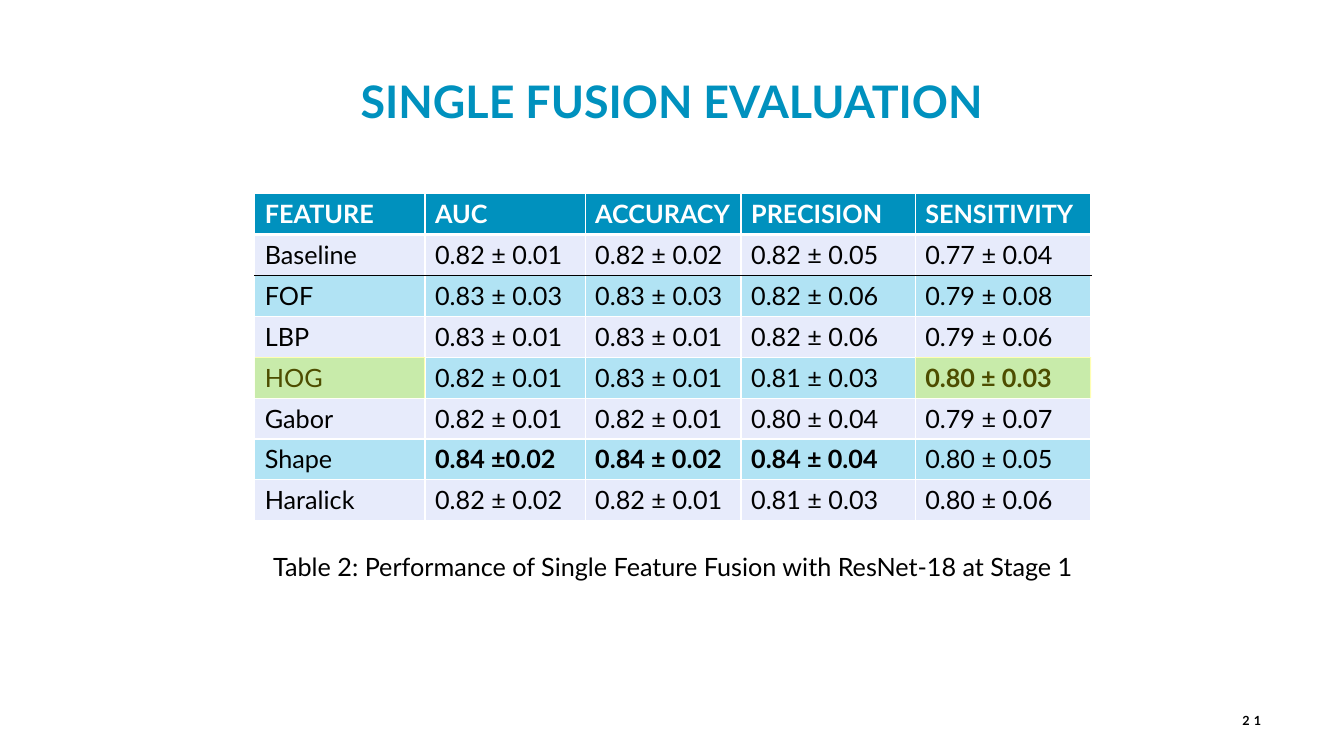
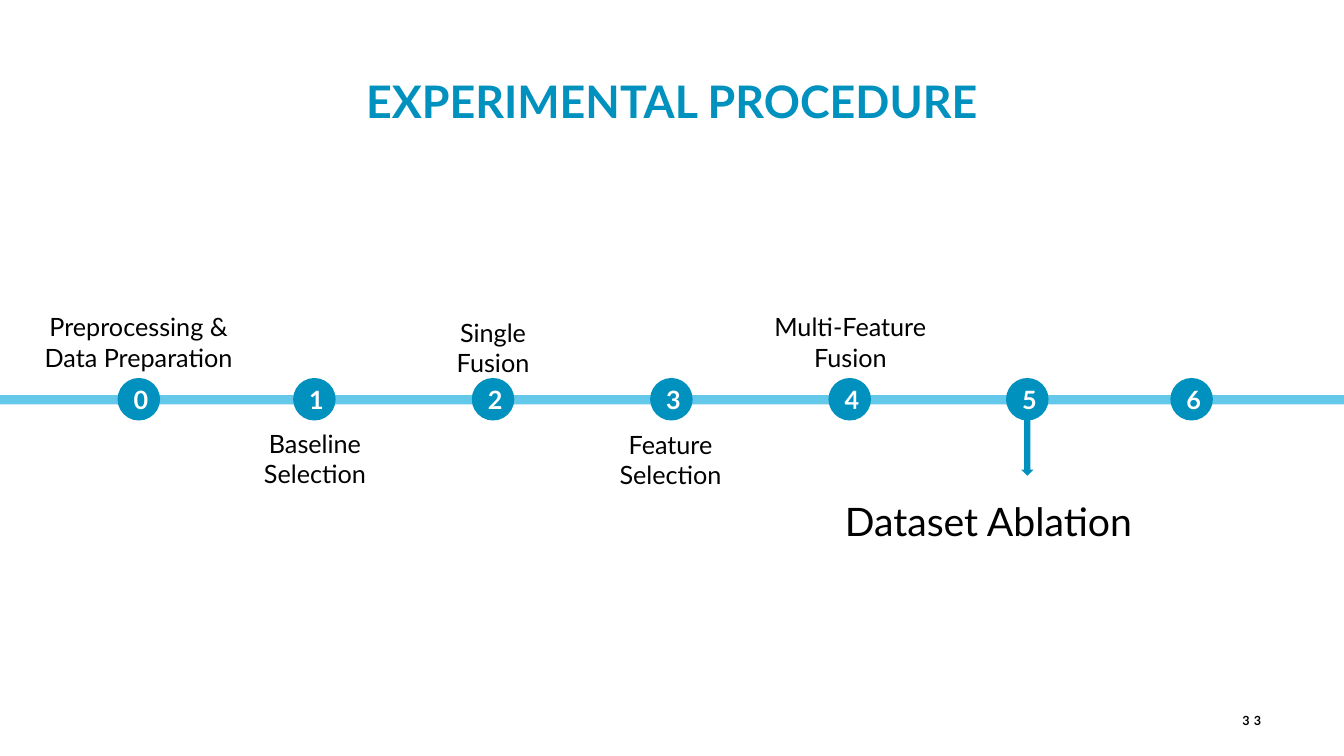
from lxml import etree
from pptx import Presentation
from pptx.dml import color as dml
from pptx.enum import shapes as sh, text as tx
from pptx.oxml import ns
from pptx.util import Pt

FONT = "Lato"
BLUE, SKY, PALE = "0091BE", "64C8EB", "E7EBFB"
BLACK, WHITE, YELLOW = "000000", "FFFFFF", "FFFF00"
LEFT, CENTER, RIGHT = tx.PP_ALIGN.LEFT, tx.PP_ALIGN.CENTER, tx.PP_ALIGN.RIGHT
TOP, MIDDLE = tx.MSO_ANCHOR.TOP, tx.MSO_ANCHOR.MIDDLE


def paint(owner, hex_color, opacity=100):
    """Give a shape, cell or font a solid colour."""
    owner.fill.solid()
    owner.fill.fore_color.rgb = dml.RGBColor.from_string(hex_color)
    if opacity < 100:
        tone = owner.fill._xPr.find(ns.qn("a:solidFill"))[0]
        etree.SubElement(tone, ns.qn("a:alpha"), val=str(opacity * 1000))


def write(frame, words, size=18, hex_color=BLACK, bold=False, align=CENTER):
    """Fill a text frame and format all its runs."""
    frame.text = words
    frame.word_wrap = True
    for paragraph in frame.paragraphs:
        paragraph.alignment = align
        for run in paragraph.runs:
            run.font.name, run.font.size, run.font.bold = FONT, Pt(size), bold
            paint(run.font, hex_color)


prs = Presentation()
prs.slide_width, prs.slide_height = Pt(960), Pt(540)

# Shared title and page number
slides = []
for heading, page in (("SINGLE FUSION EVALUATION", "21"),
                      ("EXPERIMENTAL PROCEDURE", "33")):
    slide = prs.slides.add_slide(prs.slide_layouts[5])
    slides.append(slide)
    title = slide.shapes.title
    title.left, title.top, title.width, title.height = Pt(0), Pt(49), Pt(960), Pt(46)
    write(title.text_frame, heading, 32, BLUE, True)
    title.text_frame.auto_size = tx.MSO_AUTO_SIZE.NONE
    title.text_frame.vertical_anchor = TOP

    number = slide.shapes.add_textbox(Pt(851), Pt(500.4), Pt(57), Pt(28.8)).text_frame
    write(number, page, 9, BLACK, True, RIGHT)
    number.vertical_anchor = MIDDLE
    number.paragraphs[0].runs[0].font._element.set("spc", "300")

evaluation, procedure = slides

# Results table
RESULTS = [
    ("FEATURE", "AUC", "ACCURACY", "PRECISION", "SENSITIVITY"),
    ("Baseline", "0.82 ± 0.01", "0.82 ± 0.02", "0.82 ± 0.05", "0.77 ± 0.04"),
    ("FOF", "0.83 ± 0.03", "0.83 ± 0.03", "0.82 ± 0.06", "0.79 ± 0.08"),
    ("LBP", "0.83 ± 0.01", "0.83 ± 0.01", "0.82 ± 0.06", "0.79 ± 0.06"),
    ("HOG", "0.82 ± 0.01", "0.83 ± 0.01", "0.81 ± 0.03", "0.80 ± 0.03"),
    ("Gabor", "0.82 ± 0.01", "0.82 ± 0.01", "0.80 ± 0.04", "0.79 ± 0.07"),
    ("Shape", "0.84 ±0.02", "0.84 ± 0.02", "0.84 ± 0.04", "0.80 ± 0.05"),
    ("Haralick", "0.82 ± 0.02", "0.82 ± 0.01", "0.81 ± 0.03", "0.80 ± 0.06"),
]
BEST = {(4, 4), (6, 1), (6, 2), (6, 3)}
COLUMNS = [121.6, 114.4, 111.4, 124.4, 125.6]
TABLE_LEFT, TABLE_TOP, ROW = 182, 138.4, 29.2
TABLE_WIDTH = sum(COLUMNS)

results = evaluation.shapes.add_table(
    len(RESULTS), len(COLUMNS), Pt(TABLE_LEFT), Pt(TABLE_TOP),
    Pt(TABLE_WIDTH), Pt(ROW * len(RESULTS))).table
results.horz_banding = False
for column, width in zip(results.columns, COLUMNS):
    column.width = Pt(width)

for r, record in enumerate(RESULTS):
    results.rows[r].height = Pt(ROW)
    for c, value in enumerate(record):
        cell = results.cell(r, c)
        header = r == 0
        write(cell.text_frame, value, 18, WHITE if header else BLACK,
              header or (r, c) in BEST, LEFT)
        if header:
            paint(cell, BLUE)
        elif r % 2:
            paint(cell, PALE)
        else:
            paint(cell, SKY, 50)
        # Black rule under the baseline, thick white one under the header
        borders = {
            "lnL": (WHITE, 1), "lnR": (WHITE, 1),
            "lnT": (BLACK if r == 2 else WHITE, 3 if r == 1 else 1),
            "lnB": (BLACK if r == 1 else WHITE, 3 if header else 1),
        }
        properties = cell._tc.get_or_add_tcPr()
        for place, (side, (tone, weight)) in enumerate(borders.items()):
            edge = etree.Element(ns.qn("a:" + side), w=str(Pt(weight)))
            solid = etree.SubElement(edge, ns.qn("a:solidFill"))
            etree.SubElement(solid, ns.qn("a:srgbClr"), val=tone)
            properties.insert(place, edge)

# Highlights over the HOG row
for c in (0, 4):
    highlight = evaluation.shapes.add_shape(
        sh.MSO_SHAPE.RECTANGLE, Pt(TABLE_LEFT + sum(COLUMNS[:c])),
        Pt(TABLE_TOP + 4 * ROW), Pt(COLUMNS[c]), Pt(ROW))
    highlight.shadow.inherit = False
    highlight.line.fill.background()
    paint(highlight, YELLOW, 30)

caption = evaluation.shapes.add_textbox(
    Pt(TABLE_LEFT), Pt(390.4), Pt(TABLE_WIDTH), Pt(29))
write(caption.text_frame,
      "Table 2: Performance of Single Feature Fusion with ResNet-18 at Stage 1")

# Timeline: bar, numbered steps and arrow
STEP = 30.4
STEP_LEFTS = [84, 209.4, 337, 464.4, 591.8, 718.6, 836]
parts = [(sh.MSO_SHAPE.RECTANGLE, 0, 282.2, 960, 6.6, SKY, "")]
parts += [(sh.MSO_SHAPE.OVAL, left, 270, STEP, STEP, BLUE, str(i))
          for i, left in enumerate(STEP_LEFTS)]
parts.append((sh.MSO_SHAPE.DOWN_ARROW, 729.4, 298, 8.8, 41.8, BLUE, ""))
for kind, left, top, width, height, tone, digit in parts:
    part = procedure.shapes.add_shape(kind, Pt(left), Pt(top), Pt(width), Pt(height))
    part.shadow.inherit = False
    part.line.fill.background()
    paint(part, tone)
    if digit:
        frame = part.text_frame
        write(frame, digit, 18, WHITE, True)
        frame.vertical_anchor = MIDDLE
        frame.margin_left = Pt(3)
        frame.margin_right = frame.margin_top = frame.margin_bottom = Pt(0)

# Step names
for words, left, top, width, height, size in (
        ("Preprocessing & Data Preparation", 15, 219, 168, 51, 18),
        ("Baseline Selection", 150, 302.4, 150, 51, 18),
        ("Single\nFusion", 267.6, 223.2, 169.2, 51, 18),
        ("Feature Selection", 415, 303, 128, 51, 18),
        ("Multi-Feature Fusion", 528.4, 219, 158, 51, 18),
        ("Dataset Ablation", 452, 352, 508, 41, 28)):
    label = procedure.shapes.add_textbox(Pt(left), Pt(top), Pt(width), Pt(height))
    write(label.text_frame, words, size)

prs.save("out.pptx")
